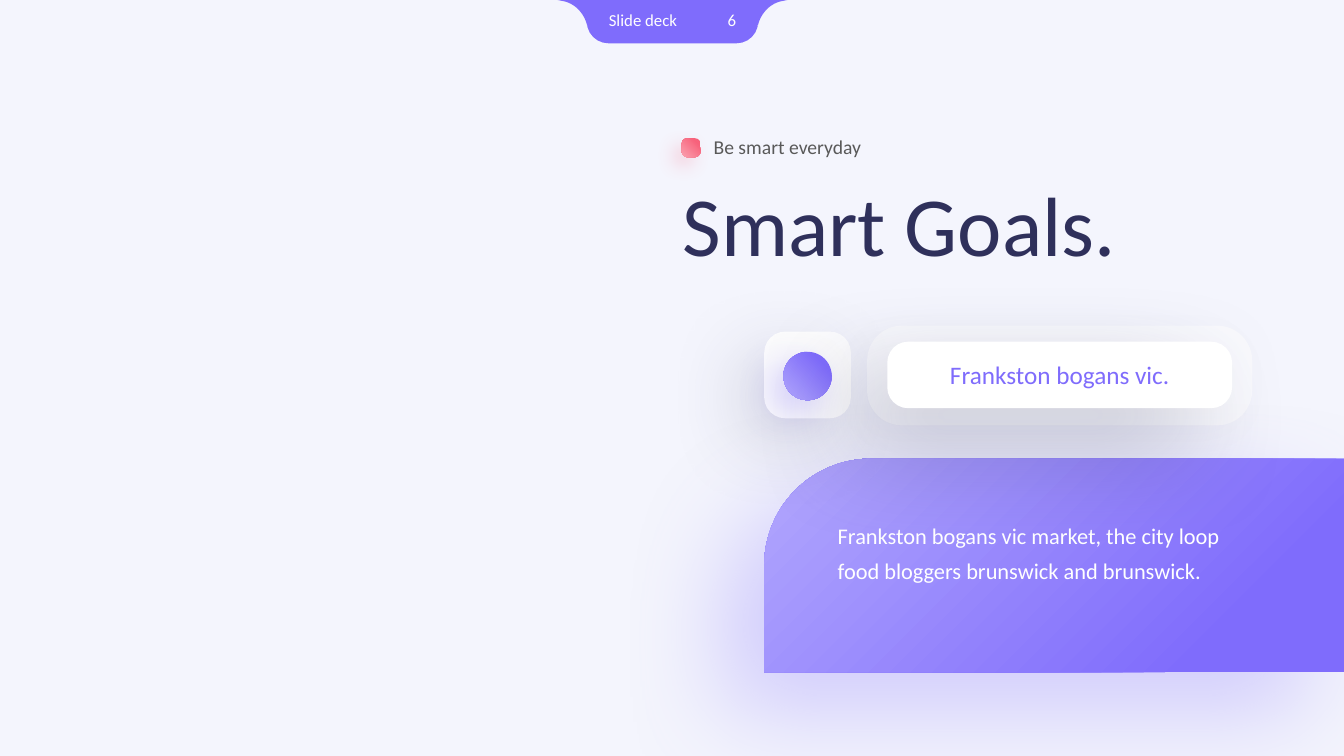
from pptx import Presentation
from pptx.dml.color import RGBColor
from pptx.enum.shapes import MSO_SHAPE as SHAPE
from pptx.enum.text import MSO_ANCHOR as ANCHOR, MSO_AUTO_SIZE as AUTO_SIZE, PP_ALIGN as ALIGN
from pptx.oxml import parse_xml
from pptx.oxml.ns import nsdecls, qn
from pptx.util import Inches, Pt

VIOLET, LILAC, NAVY, WHITE = "7F6CFC", "B2A7FD", "2F305B", "FFFFFF"
CORAL, PINK, GREY, MIST = "F7627B", "FAA1B0", "595959", "F4F5FD"
TOP_LEFT = {"l": 0, "t": 0, "r": 100, "b": 100}
BOTTOM_LEFT = {"l": 0, "t": 100, "r": 100, "b": 0}


def colour(hex_code):
    return RGBColor.from_string(hex_code)


def glow_fill(shape, light, dark, focus):
    """Fill with a radial gradient that spreads from the focus corner."""
    shape.fill.background()
    rect = " ".join(f'{side}="{percent * 1000}"' for side, percent in focus.items())
    gradient = parse_xml(
        f'<a:gradFill {nsdecls("a")} rotWithShape="1"><a:gsLst>'
        f'<a:gs pos="0"><a:srgbClr val="{light}"/></a:gs>'
        f'<a:gs pos="80000"><a:srgbClr val="{dark}"/></a:gs></a:gsLst>'
        f'<a:path path="circle"><a:fillToRect {rect}/></a:path></a:gradFill>')
    properties = shape._element.spPr
    properties.replace(properties.find(qn("a:noFill")), gradient)


def plain_fill(shape, hex_code, opacity=100):
    shape.fill.solid()
    shape.fill.fore_color.rgb = colour(hex_code)
    if opacity < 100:
        solid = shape._element.spPr.find(qn("a:solidFill"))
        solid[0].append(parse_xml(f'<a:alpha {nsdecls("a")} val="{opacity * 1000}"/>'))


def soft_shadow(shape, hex_code, opacity, blur, distance):
    effects = shape._element.spPr.find(qn("a:effectLst"))
    effects.append(parse_xml(
        f'<a:outerShdw {nsdecls("a")} blurRad="{Pt(blur)}" dist="{Pt(distance)}" '
        f'dir="8100000" algn="tr" rotWithShape="0"><a:srgbClr val="{hex_code}">'
        f'<a:alpha val="{opacity * 1000}"/></a:srgbClr></a:outerShdw>'))


def add_panel(slide, kind, box, *corners):
    panel = slide.shapes.add_shape(kind, *map(Inches, box))
    panel.shadow.inherit = False
    panel.line.fill.background()
    for index, corner in enumerate(corners):
        panel.adjustments[index] = corner
    return panel


def write(holder, wording, size, hex_code, align=ALIGN.LEFT, spacing=1.0):
    frame = holder.text_frame
    frame.text = wording
    frame_format = {"word_wrap": True, "auto_size": AUTO_SIZE.SHAPE_TO_FIT_TEXT,
                    "vertical_anchor": ANCHOR.TOP}
    paragraph = frame.paragraphs[0]
    paragraph_format = {"alignment": align, "line_spacing": spacing}
    font = paragraph.runs[0].font
    font_format = {"name": "Calibri", "size": Pt(size)}
    for target, values in ((frame, frame_format), (paragraph, paragraph_format),
                           (font, font_format)):
        for name, value in values.items():
            setattr(target, name, value)
    font.color.rgb = colour(hex_code)


def add_label(slide, box, *wording, **layout):
    write(slide.shapes.add_textbox(*map(Inches, box)), *wording, **layout)


def add_tab_flare(slide, x, top, direction):
    """Add the concave corner where the tab meets the slide's top edge."""
    start, bend_a, bend_b, end = (0.24, 0.01), (0.12, 0.03), (0.03, 0.13), (0, 0.24)
    steps = 16
    curve = []
    for step in range(steps + 1):
        t = step / steps
        weights = ((1 - t) ** 3, 3 * t * (1 - t) ** 2, 3 * t * t * (1 - t), t ** 3)
        curve.append([sum(w * point[axis] for w, point in
                          zip(weights, (start, bend_a, bend_b, end))) for axis in (0, 1)])
    outline = [(Inches(x + direction * dx), Inches(top + dy))
               for dx, dy in [(0.29, 0), *curve, (0, 0.25)]]
    builder = slide.shapes.build_freeform(Inches(x), Inches(top))
    builder.add_line_segments(outline, close=True)
    flare = builder.convert_to_shape()
    flare.shadow.inherit = False
    flare.line.fill.background()
    plain_fill(flare, VIOLET)


def add_page_tab(slide, box):
    left, top, width, height = box
    tab = add_panel(slide, SHAPE.ROUND_2_SAME_RECTANGLE, box, 0, 0.5)
    plain_fill(tab, VIOLET)
    add_tab_flare(slide, left, top, -1)
    add_tab_flare(slide, left + width, top, 1)
    add_label(slide, (left + 1.02, top + 0.05, 0.56, 0.3), "6", 12, WHITE, align=ALIGN.RIGHT)
    add_label(slide, (left + 0.12, top + 0.05, 1.14, 0.3), "Slide deck", 12, WHITE)


def add_message(slide, box):
    left, top, _, _ = box
    message = add_panel(slide, SHAPE.ROUND_1_RECTANGLE, box, 0.5)
    message._element.spPr.find(qn("a:xfrm")).set("flipH", "1")
    glow_fill(message, LILAC, VIOLET, TOP_LEFT)
    soft_shadow(message, VIOLET, 30, 74, 40)
    add_label(slide, (left + 0.63, top + 0.5, 4.01, 1.12),
              "Frankston bogans vic market, the city loop food bloggers brunswick and brunswick.",
              16, WHITE, spacing=1.3)


def add_heading(slide, box):
    left, top, width, _ = box
    title = slide.shapes.title
    for name, value in zip(("left", "top", "width", "height"),
                           (left, top + 0.56, width, 0.93)):
        setattr(title, name, Inches(value))
    write(title, "Smart Goals.", 60, NAVY, spacing=0.8)
    add_label(slide, (left + 0.31, top, 2.86, 0.34), "Be smart everyday", 14, GREY)
    marker = add_panel(slide, SHAPE.ROUNDED_RECTANGLE,
                       (left + 0.09, top + 0.08, 0.19, 0.19), 0.316)
    glow_fill(marker, PINK, CORAL, BOTTOM_LEFT)
    soft_shadow(marker, CORAL, 23, 13, 8)


def add_badge(slide, box):
    left, top, _, _ = box
    tile = add_panel(slide, SHAPE.ROUNDED_RECTANGLE, box, 0.242)
    plain_fill(tile, WHITE, 85)
    soft_shadow(tile, NAVY, 20, 55, 23)
    dot = add_panel(slide, SHAPE.OVAL, (left + 0.19, top + 0.2, 0.48, 0.48))
    glow_fill(dot, LILAC, VIOLET, BOTTOM_LEFT)
    soft_shadow(dot, VIOLET, 30, 26, 12)


def add_name_card(slide, box):
    left, top, _, _ = box
    halo = add_panel(slide, SHAPE.ROUNDED_RECTANGLE, box, 0.351)
    plain_fill(halo, WHITE, 50)
    soft_shadow(halo, NAVY, 4, 24, 9)
    card = add_panel(slide, SHAPE.ROUNDED_RECTANGLE,
                     (left + 0.2, top + 0.16, 3.42, 0.66), 0.314)
    plain_fill(card, WHITE)
    soft_shadow(card, NAVY, 30, 74, 40)
    add_label(slide, (left + 0.39, top + 0.29, 3.04, 0.4),
              "Frankston bogans vic.", 18, VIOLET, align=ALIGN.CENTER)


def main():
    deck = Presentation()
    deck.slide_width, deck.slide_height = Inches(13.33), Inches(7.5)
    slide = deck.slides.add_slide(deck.slide_layouts[5])
    plain_background = slide.background.fill
    plain_background.solid()
    plain_background.fore_color.rgb = colour(MIST)
    add_page_tab(slide, (5.82, 0, 1.7, 0.43))
    add_message(slide, (7.58, 4.55, 5.76, 2.12))
    add_heading(slide, (6.67, 1.29, 5.72, 1.49))
    add_badge(slide, (7.58, 3.29, 0.86, 0.86))
    add_name_card(slide, (8.6, 3.23, 3.82, 0.99))
    deck.save("out.pptx")


if __name__ == "__main__":
    main()
